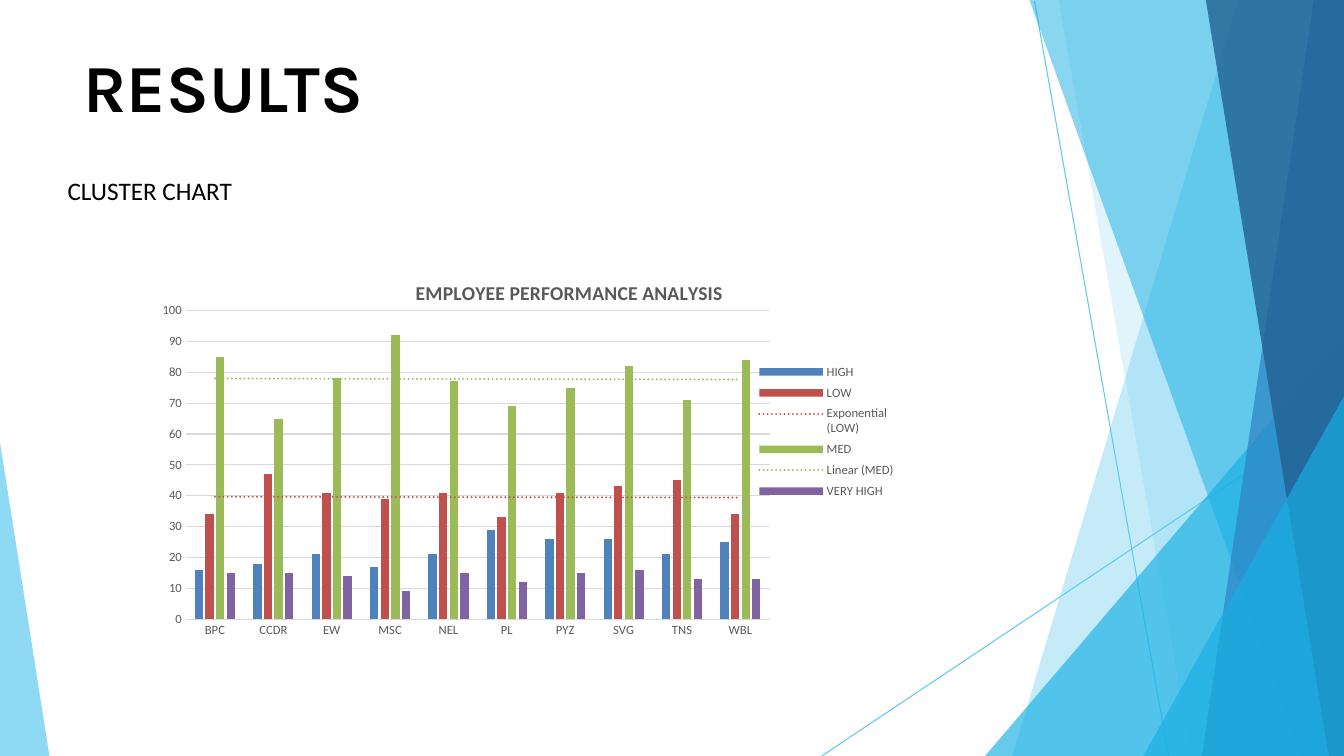
from dataclasses import dataclass

from lxml.etree import SubElement
from pptx import Presentation
from pptx.chart.data import CategoryChartData
from pptx.dml.color import RGBColor
from pptx.enum.chart import XL_CHART_TYPE as ChartType, XL_LEGEND_POSITION as LegendPosition
from pptx.enum.chart import XL_TICK_MARK as TickMark
from pptx.enum.shapes import MSO_CONNECTOR as Connector
from pptx.enum.text import MSO_ANCHOR as Anchor, PP_ALIGN as Align
from pptx.oxml.ns import qn
from pptx.util import Pt

PX = 9144
WIDTH, HEIGHT = 1333, 750


@dataclass(frozen=True)
class Theme:
    """Colours, fonts and type sizes of the slide."""
    ink: str = "000000"
    grey: str = "595959"
    grid: str = "D9D9D9"
    sky: str = "5FCAEE"
    cyan: str = "17AFE3"
    blue: str = "2D83C3"
    navy: str = "226192"
    heading_font: str = "Karla"
    body_font: str = "Calibri"
    heading: int = 48
    body: int = 18
    chart_title: int = 14
    chart_label: int = 9


THEME = Theme()

DEPARTMENTS = ["BPC", "CCDR", "EW", "MSC", "NEL", "PL", "PYZ", "SVG", "TNS", "WBL"]
RATINGS = [
    ("HIGH", [16, 18, 21, 17, 21, 29, 26, 26, 21, 25], "4F81BD", None),
    ("LOW", [34, 47, 41, 39, 41, 33, 41, 43, 45, 34], "C0504D", "exp"),
    ("MED", [85, 65, 78, 92, 77, 69, 75, 82, 71, 84], "9BBB59", "linear"),
    ("VERY HIGH", [15, 15, 14, 9, 15, 12, 15, 16, 13, 13], "8064A2", None),
]


def rgb(colour):
    """Turn a hex string into a colour."""
    return RGBColor.from_string(colour)


def child(parent, tag, **attributes):
    """Append an XML element with the given attributes."""
    return SubElement(parent, qn(tag), attributes)


def format_font(font, size, colour, face, bold=False):
    """Set the face, size, weight and colour of a font."""
    font.name, font.size, font.bold = face, Pt(size), bold
    font.color.rgb = rgb(colour)


def write_text(frame, text, anchor=Anchor.TOP, **style):
    """Write one left-aligned line into a frame without margins."""
    frame.margin_left = frame.margin_right = frame.margin_top = frame.margin_bottom = 0
    frame.word_wrap, frame.vertical_anchor = True, anchor
    paragraph = frame.paragraphs[0]
    paragraph.alignment = Align.LEFT
    run = paragraph.add_run()
    run.text = text
    format_font(run.font, **style)


def add_facet(slide, points, colour, opacity):
    """Draw one translucent polygon."""
    builder = slide.shapes.build_freeform(*points[0], scale=PX)
    builder.add_line_segments(points[1:], close=True)
    facet = builder.convert_to_shape()
    facet.shadow.inherit = False
    facet.fill.solid()
    facet.fill.fore_color.rgb = rgb(colour)
    fill_colour = facet.fill._xPr.find(qn("a:solidFill"))[0]
    child(fill_colour, "a:alpha", val=str(opacity * 1000))
    facet.line.fill.background()


def add_ray(slide, start, end):
    """Draw one thin line of the background."""
    ray = slide.shapes.add_connector(Connector.STRAIGHT, *(v * PX for v in start + end))
    ray.line.color.rgb = rgb(THEME.sky)
    ray.line.width = Pt(0.75)
    child(ray._element.spPr, "a:effectLst")


def draw_background(slide, box):
    """Draw the rays and facets along the edges of the box."""
    left, top, width, height = box
    right, bottom = left + width, top + height
    add_ray(slide, (right - 307, top + 1), (right - 174, bottom))
    add_ray(slide, (right, top + 404), (right - 518, bottom))
    facets = [
        (105, 0, 329, THEME.sky, 36),
        (283, 0, 151, THEME.sky, 20),
        (0, 333, 356, THEME.cyan, 66),
        (312, 0, 42, THEME.cyan, 50),
        (30, 0, 141, THEME.blue, 70),
        (137, 0, 15, THEME.navy, 80),
        (0, 393, 199, THEME.cyan, 66),
    ]
    for upper_inset, drop, lower_inset, colour, opacity in facets:
        points = [(right, top + drop), (right - lower_inset, bottom), (right, bottom)]
        if upper_inset:
            points.insert(1, (right - upper_inset, top + drop))
        add_facet(slide, points, colour, opacity)
    add_facet(slide, [(left, top + 439), (left, bottom), (left + 49, bottom)], THEME.sky, 70)


def draw_heading(slide, box):
    """Place the slide title and the caption under it."""
    left, top, width, height = box
    title = slide.shapes.title
    title.left, title.top, title.width, title.height = (
        v * PX for v in (left + 16, top, width - 32, 83))
    write_text(title.text_frame, "RESULTS", anchor=Anchor.BOTTOM, size=THEME.heading,
               colour=THEME.ink, face=THEME.heading_font, bold=True)
    caption = slide.shapes.add_textbox(*(v * PX for v in (left, top + height - 30, width, 30)))
    write_text(caption.text_frame, "CLUSTER CHART", size=THEME.body,
               colour=THEME.ink, face=THEME.body_font)


def set_layout(owner, x, y, w=None, h=None, inner=False):
    """Fix the place of a chart part as fractions of the chart."""
    for old in owner.findall(qn("c:layout")):
        owner.remove(old)
    layout = child(owner, "c:layout")
    manual = child(layout, "c:manualLayout")
    if inner:
        child(manual, "c:layoutTarget", val="inner")
    child(manual, "c:xMode", val="edge")
    child(manual, "c:yMode", val="edge")
    for name, value in (("x", x), ("y", y), ("w", w), ("h", h)):
        if value is not None:
            child(manual, f"c:{name}", val=str(value))
    anchor = owner.find(qn("c:tx"))
    if anchor is None:
        anchor = owner.find(qn("c:legendPos"))
    if anchor is None:
        owner.insert(0, layout)
    else:
        anchor.addnext(layout)


def add_trend(series, kind, colour):
    """Add a dotted trend line to a series."""
    trend = child(series._element, "c:trendline")
    line = child(child(trend, "c:spPr"), "a:ln", w=str(Pt(1.5)), cap="rnd")
    child(child(line, "a:solidFill"), "a:srgbClr", val=colour)
    child(line, "a:prstDash", val="sysDot")
    child(trend, "c:trendlineType", val=kind)
    child(trend, "c:dispRSqr", val="0")
    child(trend, "c:dispEq", val="0")
    series._element.find(qn("c:cat")).addprevious(trend)


def draw_chart(slide, box):
    """Draw the clustered columns of employee ratings in the box."""
    data = CategoryChartData()
    data.categories = DEPARTMENTS
    for name, values, _, _ in RATINGS:
        data.add_series(name, values)
    chart = slide.shapes.add_chart(
        ChartType.COLUMN_CLUSTERED, *(v * PX for v in box), data).chart
    label = dict(size=THEME.chart_label, colour=THEME.grey, face=THEME.body_font)
    format_font(chart.font, **label)

    title_run = chart.chart_title.text_frame.paragraphs[0].add_run()
    title_run.text = "EMPLOYEE PERFORMANCE ANALYSIS"
    format_font(title_run.font, THEME.chart_title, THEME.grey, THEME.body_font, bold=True)
    set_layout(chart.chart_title._element, 0.34, 0.11)

    plot = chart.plots[0]
    plot.gap_width, plot.overlap, plot.vary_by_categories = 219, -27, False
    for series, (_, _, colour, trend) in zip(plot.series, RATINGS):
        series.format.fill.solid()
        series.format.fill.fore_color.rgb = rgb(colour)
        if trend:
            add_trend(series, trend, colour)
    set_layout(chart._chartSpace.chart.plotArea, 0.045, 0.182, 0.761, 0.633, inner=True)

    ratings, departments = chart.value_axis, chart.category_axis
    for axis in (ratings, departments):
        axis.major_tick_mark = axis.minor_tick_mark = TickMark.NONE
        format_font(axis.tick_labels.font, **label)
    ratings.minimum_scale, ratings.maximum_scale, ratings.major_unit = 0, 100, 10
    ratings.format.line.fill.background()
    for line in (ratings.major_gridlines.format.line, departments.format.line):
        line.color.rgb, line.width = rgb(THEME.grid), Pt(0.75)

    chart.has_legend = True
    chart.legend.position, chart.legend.include_in_layout = LegendPosition.RIGHT, False
    format_font(chart.legend.font, **label)
    set_layout(chart.legend._element, 0.79, 0.28, 0.18, 0.3)


def main():
    """Build the results slide and save it."""
    deck = Presentation()
    deck.slide_width, deck.slide_height = WIDTH * PX, HEIGHT * PX
    slide = deck.slides.add_slide(deck.slide_layouts.get_by_name("Title Only"))
    draw_background(slide, (0, 0, WIDTH, HEIGHT))
    draw_heading(slide, (67, 42, 1200, 162))
    draw_chart(slide, (150, 220, 761, 484))
    deck.save("out.pptx")


if __name__ == "__main__":
    main()
